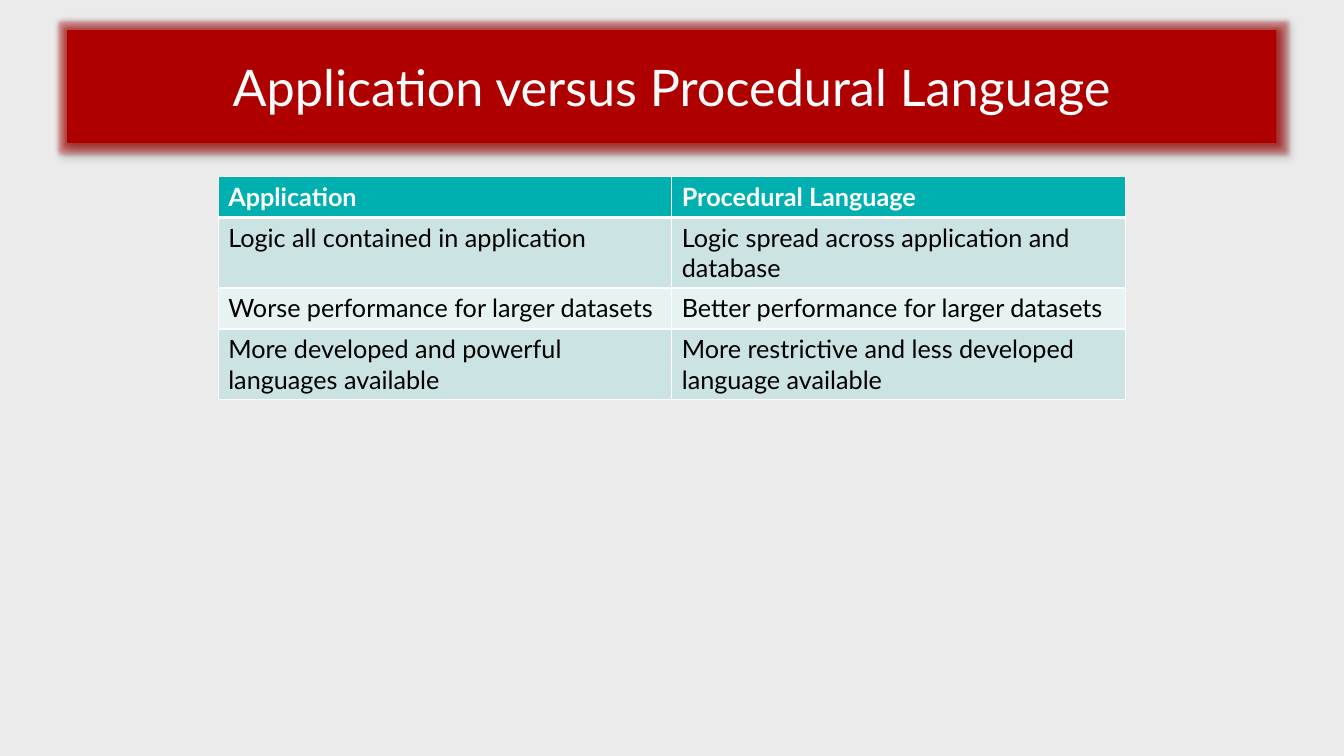
import pptx
import pptx.dml.color
import pptx.enum.shapes
import pptx.enum.text
import pptx.oxml
import pptx.oxml.ns
import pptx.util
from pptx.util import Cm

COLORS = {
    "page": "EBEBEB", "banner": "AF0000", "title": "FEFCFC", "white": "FFFFFF",
    "header": "00AFAF", "odd": "CCE3E3", "even": "E7F2F2", "black": "000000",
}
ROWS = [
    ("Application", "Procedural Language"),
    ("Logic all contained in application",
     "Logic spread across application and database"),
    ("Worse performance for larger datasets",
     "Better performance for larger datasets"),
    ("More developed and powerful languages available",
     "More restrictive and less developed language available"),
]


def rgb(name):
    return pptx.dml.color.RGBColor.from_string(COLORS[name])


def xml(tag, attributes, content):
    return pptx.oxml.parse_xml(
        f'<a:{tag} {pptx.oxml.ns.nsdecls("a")} {attributes}>{content}</a:{tag}>')


def solid(name):
    return f'<a:solidFill><a:srgbClr val="{COLORS[name]}"/></a:solidFill>'


def effect_color(name, alpha):
    return (f'<a:srgbClr val="{COLORS[name]}">'
            f'<a:alpha val="{alpha * 1000}"/></a:srgbClr>')


class SlideBuilder:
    font_name = "Lato"

    def __init__(self, deck):
        self.page = deck.slides.add_slide(deck.slide_layouts[6])
        fill = self.page.background.fill
        fill.solid()
        fill.fore_color.rgb = rgb("page")

    def add_text(self, frame, text, color, size, bold=False):
        para = frame.paragraphs[0]
        span = para.add_run()
        span.text = text
        formats = {"name": self.font_name, "size": pptx.util.Pt(size), "bold": bold}
        for key, value in formats.items():
            setattr(span.font, key, value)
        span.font.color.rgb = rgb(color)
        return para, span

    def banner(self, text, left, top, width, height):
        box = self.page.shapes.add_shape(
            pptx.enum.shapes.MSO_SHAPE.RECTANGLE, left, top, width, height)
        box.fill.solid()
        box.fill.fore_color.rgb = rgb("banner")
        box.line.fill.background()

        # Red glow with a soft shadow to the lower right
        box.shadow.inherit = False
        effects = box._element.spPr.find(pptx.oxml.ns.qn("a:effectLst"))
        point = pptx.util.Pt(1)
        effects.append(xml("glow", f'rad="{5 * point}"', effect_color("banner", 40)))
        effects.append(xml(
            "outerShdw", f'blurRad="{4 * point}" dist="{3 * point}" dir="2700000"',
            effect_color("black", 40)))

        box.text_frame.word_wrap = False
        box.text_frame.vertical_anchor = pptx.enum.text.MSO_ANCHOR.MIDDLE
        para, span = self.add_text(box.text_frame, text, "title", 36)
        para.alignment = pptx.enum.text.PP_ALIGN.CENTER
        outline = xml("ln", f'w="{pptx.util.Pt(0.75)}"', solid("white"))
        span.font._element.insert(0, outline)

    def borders(self, cell, widths):
        properties = cell._tc.get_or_add_tcPr()
        for index, (side, width) in enumerate(widths.items()):
            line = xml(f"ln{side}", f'w="{pptx.util.Pt(width)}"', solid("white"))
            properties.insert(index, line)

    def table(self, rows, left, top, width, row_height):
        grid = self.page.shapes.add_table(
            len(rows), len(rows[0]), left, top, width, row_height * len(rows)).table
        for row, texts in enumerate(rows):
            header = row == 0
            fill = "header" if header else ("odd" if row % 2 else "even")
            for column, text in enumerate(texts):
                cell = grid.cell(row, column)
                cell.fill.solid()
                cell.fill.fore_color.rgb = rgb(fill)
                self.borders(cell, {"L": 1, "R": 1, "T": 3 if row == 1 else 1,
                                    "B": 3 if header else 1})
                self.add_text(cell.text_frame, text,
                              "white" if header else "black", 18, header)


def main():
    deck = pptx.Presentation()
    deck.slide_width, deck.slide_height = Cm(33.87), Cm(19.05)
    builder = SlideBuilder(deck)

    # Title banner
    builder.banner("Application versus Procedural Language",
                   Cm(1.69), Cm(0.76), Cm(30.48), Cm(2.84))

    # Comparison table
    builder.table(ROWS, Cm(5.5), Cm(4.45), Cm(22.86), Cm(1.03))

    deck.save("out.pptx")


if __name__ == "__main__":
    main()
